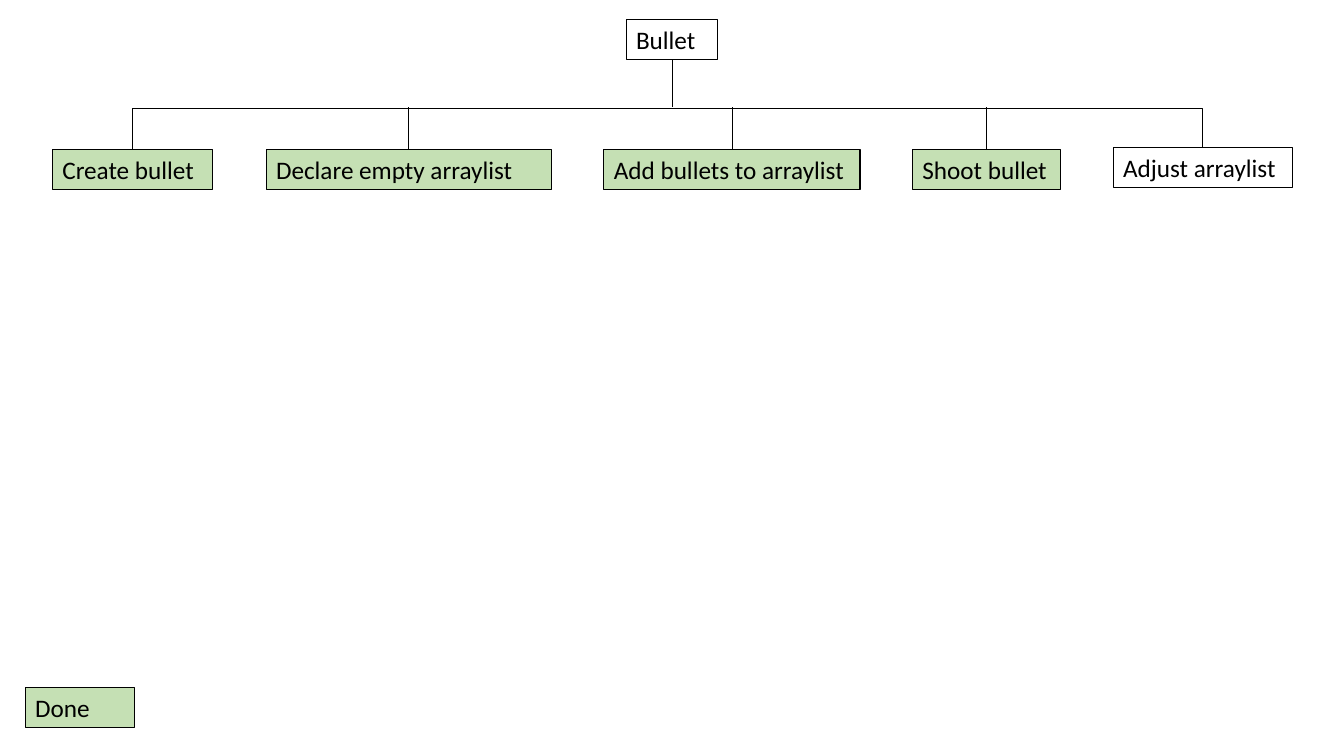
from lxml import etree
from pptx import Presentation
from pptx.dml.color import RGBColor
from pptx.enum import text
from pptx.oxml.ns import qn
from pptx.util import Inches, Pt

COLORS = {"ink": "000000", "done": "C5E0B4"}
FONT = "Calibri"
BOX_HEIGHT = 0.4
RAIL_Y = 1.07
STUB_Y = 1.06

# Content: label, left, top, width, done
ROOT = ("Bullet", 6.21, 0.19, 0.91, False)
TASKS = [
    ("Create bullet", 0.52, 1.48, 1.59, True),
    ("Declare empty arraylist", 2.64, 1.48, 2.83, True),
    ("Add bullets to arraylist", 5.99, 1.48, 2.54, True),
    ("Shoot bullet", 9.05, 1.48, 1.47, True),
    ("Adjust arraylist", 11.04, 1.46, 1.78, False),
]
LEGEND = ("Done", 0.25, 6.82, 1.08, True)


def color(name):
    return RGBColor.from_string(COLORS[name])


def style_line(line, width):
    line.color.rgb = color("ink")
    line.width = Pt(width)


def add_box(shapes, label, left, top, width, done):
    box = shapes.add_textbox(*map(Inches, (left, top, width, BOX_HEIGHT)))
    style_line(box.line, 0.75)
    if done:
        box.fill.solid()
        box.fill.fore_color.rgb = color("done")
    frame = box.text_frame
    frame.word_wrap = True
    frame.auto_size = text.MSO_AUTO_SIZE.SHAPE_TO_FIT_TEXT
    frame.text = label
    font = frame.paragraphs[0].runs[0].font
    font.name, font.size = FONT, Pt(18)
    font.color.rgb = color("ink")


def add_stub(shapes, x, start_y, end_x, end_y):
    stub = shapes.add_connector(1, *map(Inches, (x, start_y, end_x, end_y)))
    style_line(stub.line, 0.5)
    etree.SubElement(stub._element.spPr, qn("a:effectLst"))


def top_center(task):
    _, left, top, width, _ = task
    return left + width / 2, top


def main():
    prs = Presentation()
    prs.slide_width, prs.slide_height = Inches(13.33), Inches(7.5)
    slide = prs.slides.add_slide(prs.slide_layouts[6])
    tree = slide.shapes.add_group_shape().shapes

    # Root and its tasks
    for item in [ROOT, *TASKS]:
        add_box(tree, *item)

    # Rail joining the first and last tasks
    (first_x, first_y), (last_x, last_y) = map(top_center, (TASKS[0], TASKS[-1]))
    builder = tree.build_freeform(Inches(first_x), Inches(first_y))
    corners = [(first_x, RAIL_Y), (last_x, RAIL_Y), (last_x, last_y)]
    builder.add_line_segments([(Inches(x), Inches(y)) for x, y in corners], close=False)
    rail = builder.convert_to_shape()
    rail.fill.background()
    rail.shadow.inherit = False
    style_line(rail.line, 0.5)

    # Stubs from the root and the middle tasks to the rail
    root_x, root_y = top_center(ROOT)
    add_stub(tree, root_x, root_y + BOX_HEIGHT, root_x, STUB_Y)
    for task in TASKS[1:-1]:
        x, y = top_center(task)
        add_stub(tree, x, y, x, STUB_Y)

    # Legend
    add_box(slide.shapes, *LEGEND)
    prs.save("out.pptx")


if __name__ == "__main__":
    main()
